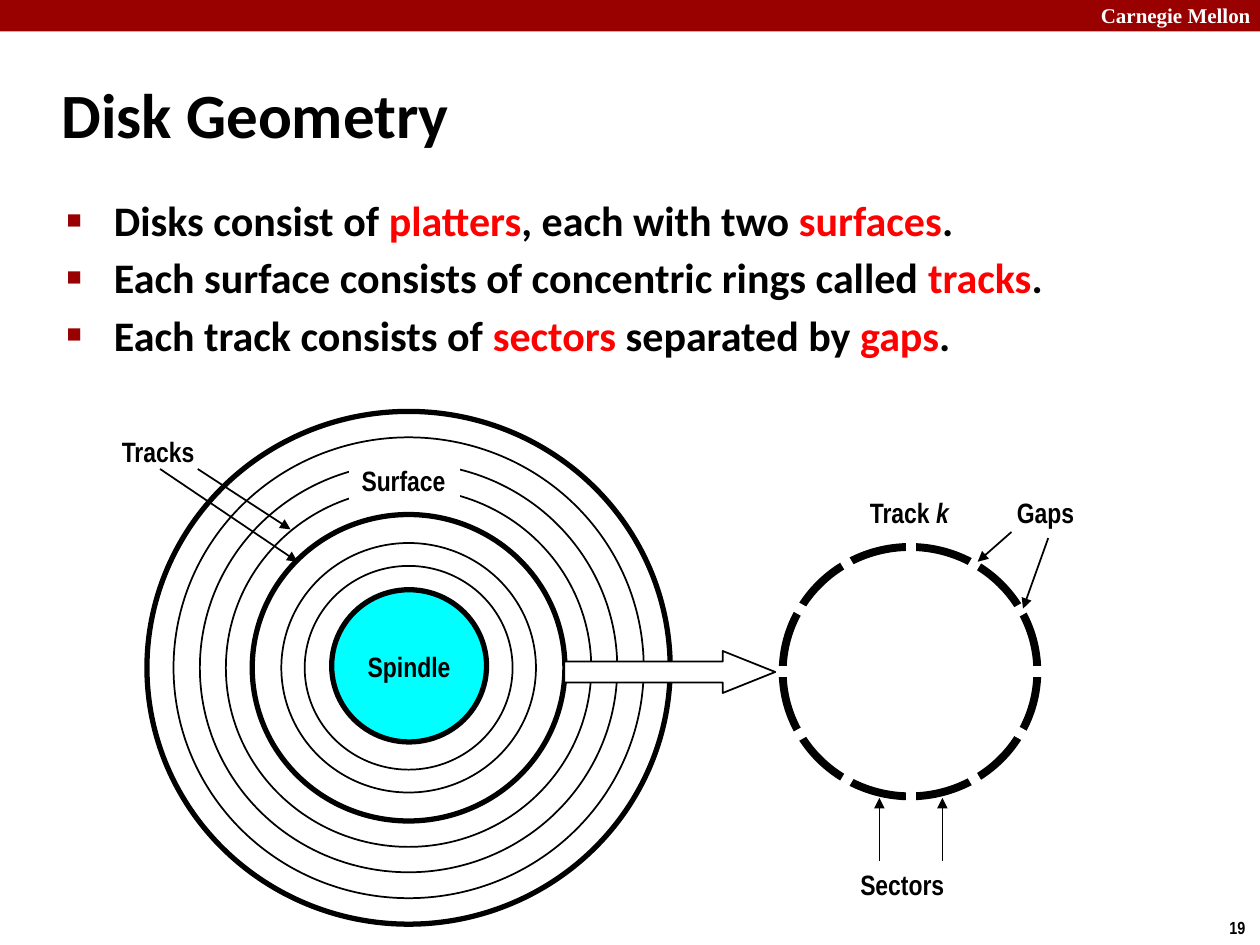
from math import cos, radians, sin

from lxml import etree
from pptx import Presentation
from pptx import util as u
from pptx.dml.color import RGBColor
from pptx.enum import shapes, text
from pptx.oxml import ns

BLACK = RGBColor(0, 0, 0)
WHITE = RGBColor(255, 255, 255)
RED = RGBColor(255, 0, 0)
MAROON = RGBColor(0x99, 0, 0)
CYAN = RGBColor(0, 255, 255)
HEAD, BODY, LABEL = "Times New Roman", "Calibri", "Arial Narrow"
KIND = shapes.MSO_SHAPE
MIDDLE = text.MSO_ANCHOR.MIDDLE


def pts(*nums):
    return [u.Pt(n) for n in nums]


def add(parent, tag, **attrs):
    return etree.SubElement(parent, ns.qn(tag), attrs)


class Deck:
    def __init__(self):
        self.prs = Presentation()
        self.prs.slide_width, self.prs.slide_height = pts(720, 540)
        self.slide = self.prs.slides.add_slide(self.prs.slide_layouts[5])
        self.items = self.slide.shapes

    def run(self, para, words, size, font=LABEL, color=BLACK, italic=None):
        run = para.add_run()
        run.text = words
        face = run.font
        face.size, face.name = u.Pt(size), font
        face.bold, face.italic = True, italic
        face.color.rgb = color

    def title(self, words, x, y, w, h):
        box = self.items.title
        box.left, box.top, box.width, box.height = pts(x, y, w, h)
        box.text_frame.vertical_anchor = MIDDLE
        para = box.text_frame.paragraphs[0]
        para.alignment = text.PP_ALIGN.LEFT
        self.run(para, words, 36, BODY)

    def bullets(self, rows, x, y, w, h):
        frame = self.items.add_textbox(*pts(x, y, w, h)).text_frame
        frame.word_wrap = True
        for i, row in enumerate(rows):
            para = frame.paragraphs[0] if i == 0 else frame.add_paragraph()
            props = para._p.get_or_add_pPr()
            props.set("marL", str(u.Pt(27)))
            props.set("indent", str(u.Pt(-27)))
            add(add(props, "a:buClr"), "a:srgbClr", val=str(MAROON))
            add(props, "a:buSzPct", val="60000")
            add(props, "a:buFont", typeface="Arial")
            add(props, "a:buChar", char="■")
            if i:
                para.space_before = u.Pt(4)
            for words, color in row:
                self.run(para, words, 24, BODY, color)

    def label(self, words, x, y, w, h=26.6, size=16, font=LABEL, color=BLACK,
              fill=None, slant=""):
        box = self.items.add_textbox(*pts(x, y, w, h))
        if fill is not None:
            box.fill.solid()
            box.fill.fore_color.rgb = fill
        box.text_frame.word_wrap = False
        para = box.text_frame.paragraphs[0]
        self.run(para, words, size, font, color)
        if slant:
            self.run(para, slant, size, font, color, True)

    def shape(self, kind, x, y, w, h, fill=None, line=0):
        item = self.items.add_shape(kind, *pts(x, y, w, h))
        item.shadow.inherit = False
        if fill is None:
            item.fill.background()
        else:
            item.fill.solid()
            item.fill.fore_color.rgb = fill
        if line:
            item.line.color.rgb = BLACK
            item.line.width = u.Pt(line)
        else:
            item.line.fill.background()
        return item

    def ring(self, mid, w, h, line, fill=None):
        x, y = mid
        return self.shape(KIND.OVAL, x - w / 2, y - h / 2, w, h, fill, line)

    def line(self, x1, y1, x2, y2, color=BLACK, width=1, arrow=True):
        link = self.items.add_connector(
            shapes.MSO_CONNECTOR.STRAIGHT, *pts(x1, y1, x2, y2))
        link.line.color.rgb = color
        link.line.width = u.Pt(width)
        if arrow:
            add(link.line._get_or_add_ln(), "a:tailEnd", type="triangle")
        add(link._element.spPr, "a:effectLst")


def main():
    deck = Deck()

    # Header band, page number and title
    deck.shape(KIND.RECTANGLE, 0, 0, 720, 18, MAROON)
    deck.label("Carnegie Mellon", 622, -2, 103, 21.6, 12, HEAD, WHITE)
    deck.label("19", 695.5, 520.5, 24.5, 19.4, 10)
    deck.title("Disk Geometry", 28, 34.5, 598, 60)

    # Key points
    deck.bullets([
        [("Disks consist of ", BLACK), ("platters", RED),
         (", each with two ", BLACK), ("surfaces", RED), (".", BLACK)],
        [("Each surface consists of concentric rings called ", BLACK),
         ("tracks", RED), (".", BLACK)],
        [("Each track consists of ", BLACK), ("sectors", RED),
         (" separated by ", BLACK), ("gaps", RED), (".", BLACK)],
    ], 31, 107.5, 622, 392)

    # Platter surface with its tracks and spindle
    hub = (233.5, 381.6)
    for wide, line in [(299, 3), (268.7, 1), (238.5, 1), (208.8, 1),
                       (178.7, 3), (145.5, 1), (118.8, 1)]:
        deck.ring(hub, wide, wide * 0.98, line)
    core = deck.ring((233.8, 380.5), 88.5, 87, 3, CYAN)
    core.text_frame.word_wrap = False
    core.text_frame.vertical_anchor = MIDDLE
    para = core.text_frame.paragraphs[0]
    para.alignment = text.PP_ALIGN.CENTER
    deck.run(para, "Spindle", 16)
    deck.label("Surface", 199.5, 261.5, 63.3, fill=WHITE)
    deck.line(91.5, 268, 170, 321)
    deck.line(113, 268, 166, 302.5)
    deck.label("Tracks", 62.5, 245, 57)

    # One track, cut into sectors by white spokes
    mid = (520.5, 383.8)
    deck.ring((520, 383.8), 145.5, 142.5, 4.5)
    deck.label("Track ", 490, 279.5, 62.6, slant="k")
    for angle in range(0, 360, 30):
        turn = radians(angle)
        deck.line(*mid, mid[0] + 84 * cos(turn), mid[1] + 82 * sin(turn),
                  WHITE, 6, False)

    # Sector and gap callouts
    deck.label("Sectors", 484.5, 492, 63.4)
    for x in (502.5, 538.5):
        deck.line(x, 492, x, 456)
    deck.label("Gaps", 574, 279.5, 47.5)
    deck.line(578, 304, 558.7, 321)
    deck.line(599, 307.5, 584.6, 347.8)

    # Arrow from the platter to the single track
    arrow = deck.shape(KIND.RIGHT_ARROW, 322.5, 372, 120.5, 24, WHITE, 1)
    arrow.adjustments[0], arrow.adjustments[1] = 0.5, 1.25

    deck.prs.save("out.pptx")


if __name__ == "__main__":
    main()
